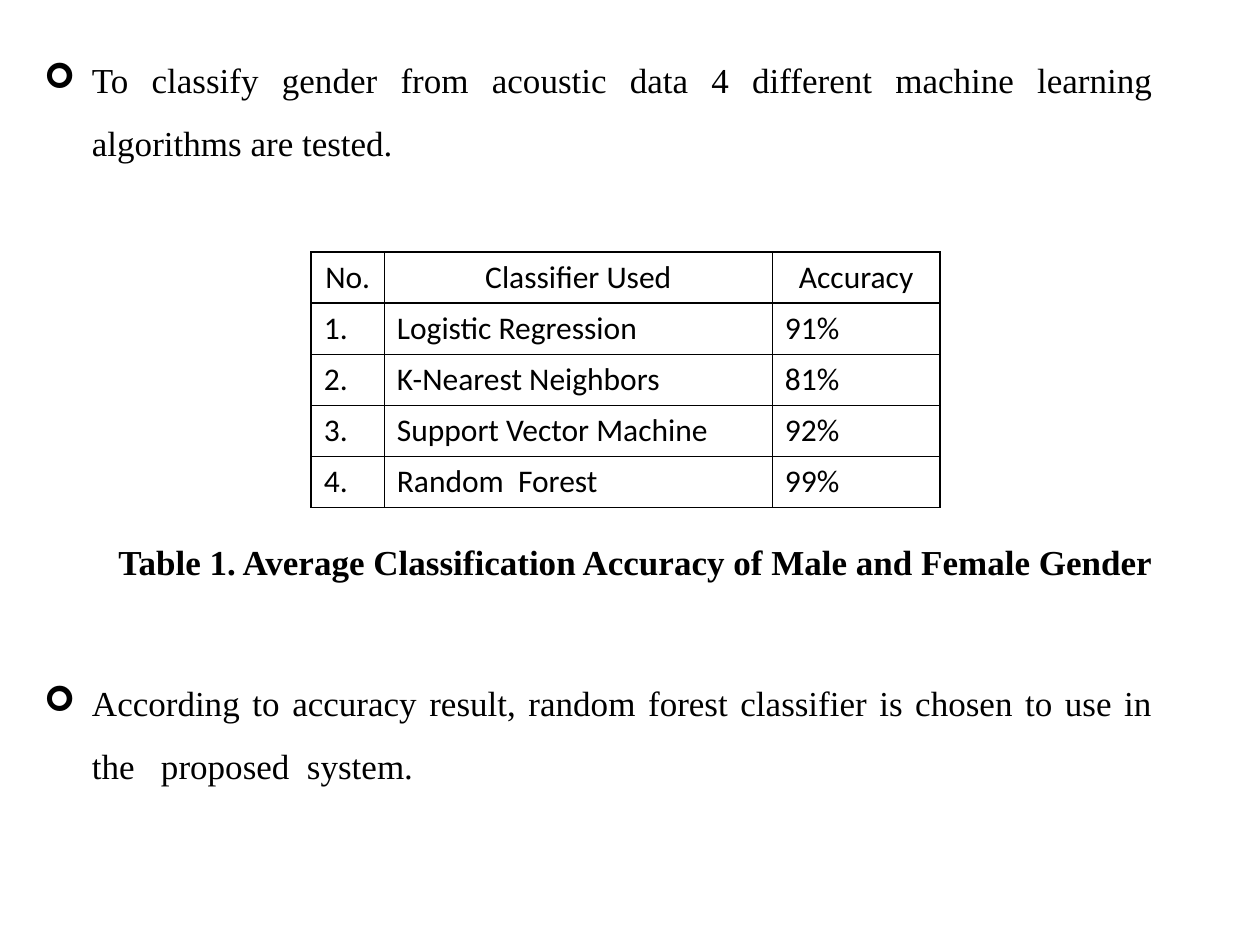
from lxml import etree
from pptx import Presentation
from pptx.dml.color import RGBColor
from pptx.enum.text import MSO_ANCHOR, MSO_AUTO_SIZE, PP_ALIGN
from pptx.oxml.ns import qn
from pptx.util import Inches, Pt

CENTER, LEFT, JUSTIFY = PP_ALIGN.CENTER, PP_ALIGN.LEFT, PP_ALIGN.JUSTIFY
TOP = MSO_ANCHOR.TOP
NO_FIT, GROW = MSO_AUTO_SIZE.NONE, MSO_AUTO_SIZE.SHAPE_TO_FIT_TEXT
BLACK = RGBColor(0, 0, 0)
SERIF, SANS = "Times New Roman", "Calibri"

BULLETS = [
    ("To classify gender from acoustic data 4 different machine learning algorithms are tested.", 4),
    ("According to accuracy result, random forest classifier is chosen to use in the   proposed  system.", 284),
]
HEADER = ("No.", "Classifier Used", "Accuracy")
RESULTS = [
    ("Logistic Regression", "91%"),
    ("K-Nearest Neighbors", "81%"),
    ("Support Vector Machine", "92%"),
    ("Random  Forest", "99%"),
]
CAPTION = "Table 1. Average Classification Accuracy of Male and Female Gender"
COLUMN_WIDTHS = (0.58, 3.08, 1.33)
TABLE_HEIGHT = 2.03
INDENT = Inches(0.38)


def add_span(para, text, font, size, bold=False):
    span = para.add_run()
    span.text = text
    span.font.name = font
    span.font.size = Pt(size)
    span.font.bold = bold
    span.font.color.rgb = BLACK


def set_bullet(para):
    properties = para._p.get_or_add_pPr()
    properties.set("marL", str(INDENT))
    properties.set("indent", str(-INDENT))
    etree.SubElement(properties, qn("a:buFont"), typeface="Wingdings")
    etree.SubElement(properties, qn("a:buChar"), char="\u27a2")


def set_borders(cell):
    properties = cell._tc.get_or_add_tcPr()
    for position, side in enumerate(("lnL", "lnR", "lnT", "lnB")):
        line = etree.Element(qn("a:" + side), w=str(Pt(1)))
        fill = etree.SubElement(line, qn("a:solidFill"))
        etree.SubElement(fill, qn("a:srgbClr"), val=str(BLACK))
        properties.insert(position, line)


deck = Presentation()
deck.slide_width, deck.slide_height = Inches(10), Inches(7.5)
page = deck.slides.add_slide(deck.slide_layouts[1])
title = page.shapes.title
title.element.getparent().remove(title.element)

body = page.placeholders[1]
body.left, body.top = Inches(0.25), Inches(0.25)
body.width, body.height = Inches(9), Inches(6.83)
frame = body.text_frame
frame.auto_size = NO_FIT
frame.vertical_anchor = TOP
for index, (text, gap) in enumerate(BULLETS):
    para = frame.add_paragraph() if index else frame.paragraphs[0]
    para.alignment = JUSTIFY
    para.line_spacing = 1.5
    para.space_before = Pt(gap)
    set_bullet(para)
    add_span(para, text, SERIF, 20)

rows = [HEADER] + [(f"{number}.", *result) for number, result in enumerate(RESULTS, 1)]
table = page.shapes.add_table(
    len(rows), len(HEADER), Inches(2.47), Inches(2),
    Inches(sum(COLUMN_WIDTHS)), Inches(TABLE_HEIGHT)).table
table.first_row = False
table.horz_banding = False
for column, width in zip(table.columns, COLUMN_WIDTHS):
    column.width = Inches(width)
for row_index, row in enumerate(rows):
    for column_index, text in enumerate(row):
        cell = table.cell(row_index, column_index)
        cell.fill.background()
        set_borders(cell)
        para = cell.text_frame.paragraphs[0]
        para.alignment = LEFT if row_index else CENTER
        add_span(para, text, SANS, 18)

caption = page.shapes.add_textbox(Inches(0.81), Inches(4.24), Inches(8.47), Inches(0.44))
caption.text_frame.word_wrap = False
caption.text_frame.auto_size = GROW
para = caption.text_frame.paragraphs[0]
para.alignment = CENTER
add_span(para, CAPTION, SERIF, 20, bold=True)

deck.save("out.pptx")
